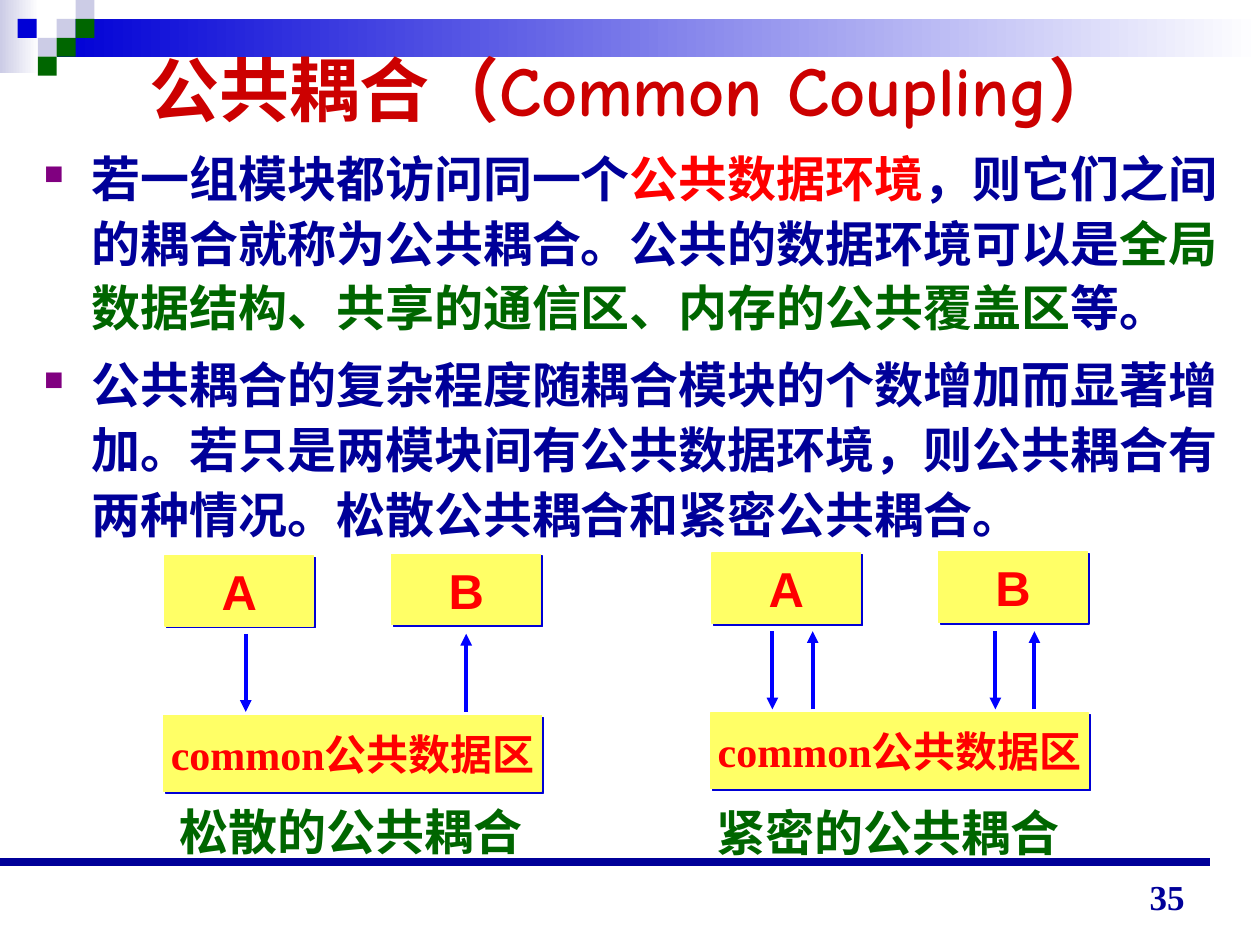
from lxml.etree import SubElement
from pptx import Presentation
from pptx.dml.color import RGBColor
from pptx.enum.shapes import MSO_CONNECTOR, MSO_SHAPE
from pptx.enum.text import MSO_ANCHOR, PP_ALIGN
from pptx.oxml.ns import qn
from pptx.util import Inches, Pt

HUES = {
    "white": "FFFFFF", "pale": "CCCCE6", "blue": "0000D6", "green": "006600",
    "navy": "000099", "title": "CC0000", "red": "FF0000", "box": "FFFF66",
    "arrow": "0000FF", "bullet": "800080",
}
SERIF = "Times New Roman"


def hue(name):
    return RGBColor.from_string(HUES[name])


def style(run, size, color, face=SERIF):
    run.font.size = Pt(size)
    run.font.bold = True
    run.font.name = face
    run.font.color.rgb = hue(color)


def rect(slide, x, y, w, h, color, fade=False):
    shape = slide.shapes.add_shape(
        MSO_SHAPE.RECTANGLE, Inches(x), Inches(y), Inches(w), Inches(h))
    shape.shadow.inherit = False
    shape.line.fill.background()
    if fade:
        shape.fill.gradient()
        shape.fill.gradient_angle = 0
        for stop, name in zip(shape.fill.gradient_stops, (color, "white")):
            stop.color.rgb = hue(name)
    else:
        shape.fill.solid()
        shape.fill.fore_color.rgb = hue(color)
    return shape


def module(slide, x, y, w, h, text, size, face):
    shape = rect(slide, x, y, w, h, "box")
    shape.line.color.rgb = hue("box")
    shape.line.width = Pt(0.75)
    glow = shape._element.spPr.find(qn("a:effectLst"))
    shade = SubElement(glow, qn("a:outerShdw"), dist=str(Pt(1.4)),
                       dir="2700000", algn="ctr", rotWithShape="0")
    SubElement(shade, qn("a:srgbClr"), val=HUES["blue"])
    frame = shape.text_frame
    frame.word_wrap = False
    frame.margin_left = frame.margin_right = 0
    frame.vertical_anchor = MSO_ANCHOR.MIDDLE
    frame.text = text
    frame.paragraphs[0].alignment = PP_ALIGN.CENTER
    style(frame.paragraphs[0].runs[0], size, "red", face)


def line(slide, x, y, end_x, end_y, color, width, arrow=False):
    link = slide.shapes.add_connector(
        MSO_CONNECTOR.STRAIGHT, Inches(x), Inches(y), Inches(end_x), Inches(end_y))
    link.line.color.rgb = hue(color)
    link.line.width = Pt(width)
    if arrow:
        SubElement(link.line._get_or_add_ln(), qn("a:tailEnd"), type="triangle")
    SubElement(link._element.spPr, qn("a:effectLst"))


def frame_at(slide, x, y, w, h):
    frame = slide.shapes.add_textbox(
        Inches(x), Inches(y), Inches(w), Inches(h)).text_frame
    frame.word_wrap = True
    return frame


def label(slide, x, y, w, h, text, size, color, align=PP_ALIGN.LEFT):
    frame = frame_at(slide, x, y, w, h)
    frame.text = text
    frame.paragraphs[0].alignment = align
    style(frame.paragraphs[0].runs[0], size, color)
    return frame


def indent(para):
    props = para._p.get_or_add_pPr()
    props.set("marL", str(Inches(0.38)))
    props.set("indent", str(Inches(-0.38)))
    return props


def point(frame, parts):
    para = frame.add_paragraph()
    props = indent(para)
    tint = SubElement(props, qn("a:buClr"))
    SubElement(tint, qn("a:srgbClr"), val=HUES["bullet"])
    SubElement(props, qn("a:buSzPct"), val="55000")
    SubElement(props, qn("a:buChar"), char="■")
    para.line_spacing = 1.1
    para.space_before = Pt(7)
    for text, color in parts:
        run = para.add_run()
        run.text = text
        style(run, 28, color)


def banner(slide):
    rect(slide, 0, 0, 0.31, 0.58, "pale", fade=True)
    rect(slide, 0.45, 0.15, 9.55, 0.3, "blue", fade=True)
    tiles = [
        (0.45, 0.15, "pale"), (0.6, 0, "pale"), (0.6, 0.15, "green"),
        (0.3, 0.3, "pale"), (0.14, 0.15, "blue"), (0.45, 0.3, "green"),
        (0.3, 0.45, "green"),
    ]
    for x, y, color in tiles:
        rect(slide, x, y, 0.15, 0.15, color)
    line(slide, 0, 6.84, 9.6, 6.84, "navy", 4.5)


def body(slide):
    frame = frame_at(slide, 0.25, 0.32, 9.56, 4.84)
    frame.text = "公共耦合（Common Coupling）"
    head = frame.paragraphs[0]
    indent(head)
    head.alignment = PP_ALIGN.CENTER
    style(head.runs[0], 40, "title", "Comic Neue")
    point(frame, [
        ("若一组模块都访问同一个", "navy"),
        ("公共数据环境", "red"),
        ("，则它们之间的耦合就称为公共耦合。公共的数据环境可以是", "navy"),
        ("全局数据结构、共享的通信区、内存的公共覆盖区", "green"),
        ("等。", "navy"),
    ])
    point(frame, [(
        "公共耦合的复杂程度随耦合模块的个数增加而显著增加。"
        "若只是两模块间有公共数据环境，则公共耦合有两种情况。"
        "松散公共耦合和紧密公共耦合。", "navy")])


def scheme(slide, x, y, downs, ups):
    module(slide, x + 0.01, y + 0.01, 1.18, 0.56, "A", 28, "Arial")
    module(slide, x + 1.81, y, 1.18, 0.56, "B", 28, "Arial")
    module(slide, x, y + 1.28, 3, 0.6, "common公共数据区", 24, SERIF)
    top, base = y + 0.63, y + 1.25
    for dx in downs:
        line(slide, x + dx, top, x + dx, base, "arrow", 2.25, arrow=True)
    for dx in ups:
        line(slide, x + dx, base, x + dx, top, "arrow", 2.25, arrow=True)


def main():
    deck = Presentation()
    deck.slide_width, deck.slide_height = Inches(10), Inches(7.5)
    slide = deck.slides.add_slide(deck.slide_layouts[6])
    banner(slide)
    body(slide)
    scheme(slide, 1.3, 4.4, [0.65], [2.4])
    scheme(slide, 5.64, 4.38, [0.49, 2.26], [0.81, 2.57])
    label(slide, 1.33, 6.31, 3.06, 0.57, "松散的公共耦合", 28, "green")
    label(slide, 5.59, 6.32, 3, 0.57, "紧密的公共耦合", 28, "green")
    page = label(slide, 7.17, 6.83, 2.33, 0.5, "35", 20, "navy", PP_ALIGN.RIGHT)
    page.vertical_anchor = MSO_ANCHOR.BOTTOM
    deck.save("out.pptx")


if __name__ == "__main__":
    main()
